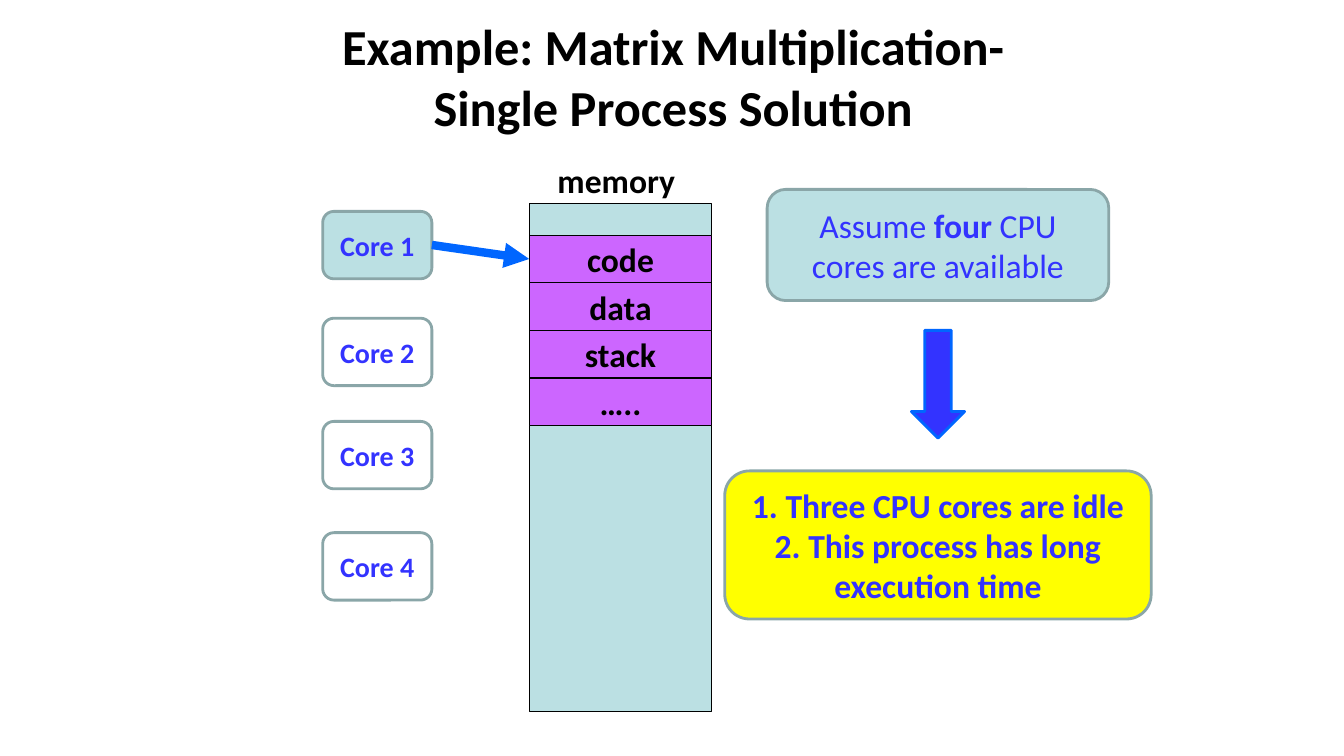
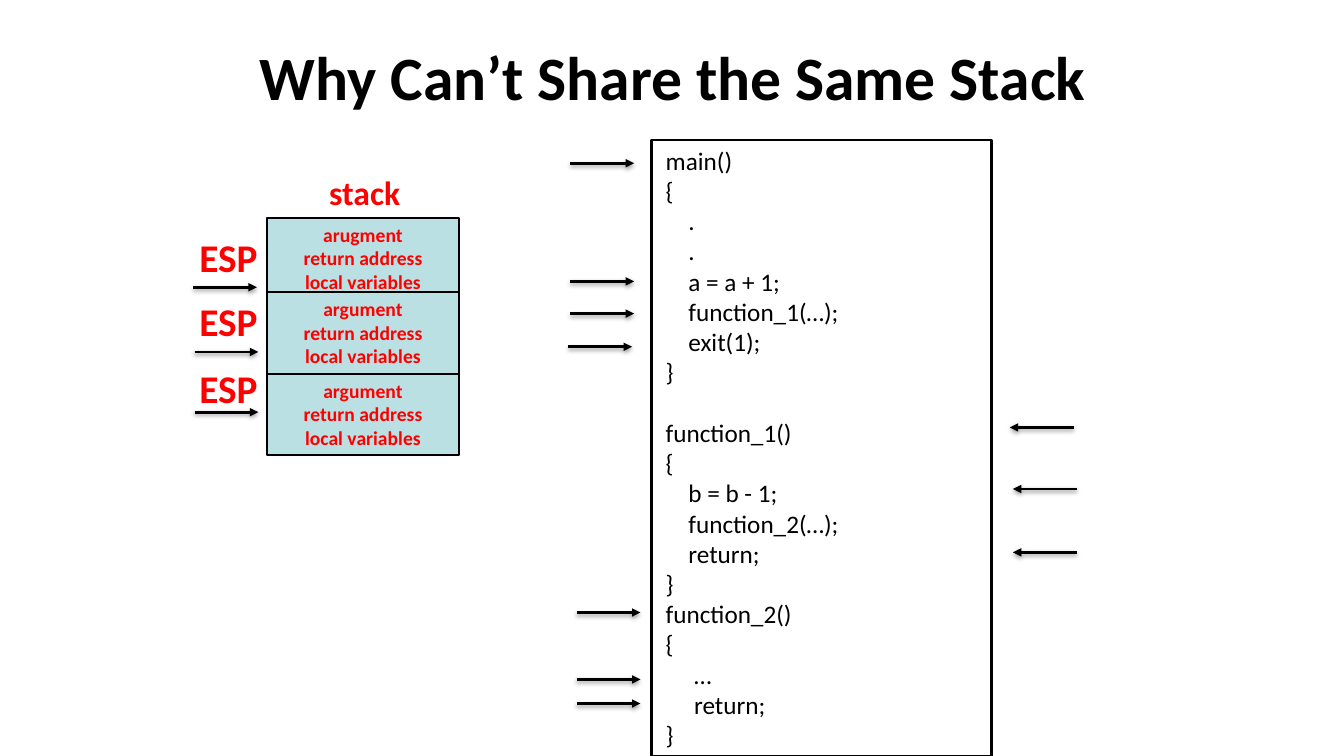
"""Build two slides on processes: idle cores and separate stacks."""

from dataclasses import dataclass
from typing import Optional

from lxml.etree import SubElement
from pptx import Presentation
from pptx.dml.color import RGBColor
from pptx.enum.shapes import MSO_CONNECTOR, MSO_SHAPE
from pptx.enum.text import MSO_ANCHOR, MSO_AUTO_SIZE, PP_ALIGN
from pptx.oxml.ns import qn
from pptx.presentation import Presentation as Deck
from pptx.shapes.autoshape import Shape
from pptx.slide import Slide
from pptx.text.text import TextFrame
from pptx.util import Pt


@dataclass(frozen=True)
class Theme:
    """Colours and type sizes shared by the slides."""

    font: str = "Calibri"
    black: str = "000000"
    white: str = "FFFFFF"
    teal: str = "BBE0E3"
    teal_edge: str = "8AA6A8"
    purple: str = "CC66FF"
    yellow: str = "FFFF00"
    red: str = "FF0000"
    blue: str = "3333FF"
    bright_blue: str = "0066FF"
    long_title: float = 36
    title: float = 44
    pointer: float = 28
    label: float = 24
    core: float = 20
    code: float = 18
    frame: float = 14


THEME = Theme()


@dataclass(frozen=True)
class Area:
    """A rectangle on the slide, in points."""

    left: float
    top: float
    width: float
    height: float

    def lengths(self) -> tuple[Pt, Pt, Pt, Pt]:
        """Return the four lengths as Pt values."""
        return Pt(self.left), Pt(self.top), Pt(self.width), Pt(self.height)


@dataclass(frozen=True)
class TextStyle:
    """Look and placing of a text."""

    size: float
    color: str = THEME.black
    bold: bool = True
    alignment: PP_ALIGN = PP_ALIGN.CENTER
    anchor: MSO_ANCHOR = MSO_ANCHOR.MIDDLE


@dataclass(frozen=True)
class Look:
    """Outline, fill and line of a shape."""

    kind: MSO_SHAPE
    fill: Optional[str]
    line: str
    weight: float


@dataclass(frozen=True)
class Arrow:
    """An arrow from one point to another."""

    start: tuple[float, float]
    end: tuple[float, float]
    color: str = THEME.black
    weight: float = 2
    shadow: bool = True


ROUNDED = MSO_SHAPE.FLOWCHART_ALTERNATE_PROCESS
CODE = """main()
{
    .
    .
    a = a + 1;
    function_1(…);
    exit(1);
}
function_1()
{
    b = b - 1;
    function_2(…);
    return;
}
function_2()
{
     …
     return;
}"""


def format_run(run, style: TextStyle, bold: bool) -> None:
    """Give a run its font."""
    run.font.name = THEME.font
    run.font.size = Pt(style.size)
    run.font.bold = bold
    run.font.color.rgb = RGBColor.from_string(style.color)


def write_text(text_frame: TextFrame, text: str, style: TextStyle) -> None:
    """Fill a text frame, one paragraph per line."""
    text_frame.text = text
    text_frame.word_wrap = True
    text_frame.auto_size = MSO_AUTO_SIZE.NONE
    text_frame.vertical_anchor = style.anchor
    for paragraph in text_frame.paragraphs:
        paragraph.alignment = style.alignment
        for run in paragraph.runs:
            format_run(run, style, style.bold)


def add_titled_slide(presentation: Deck, title: str, size: float) -> Slide:
    """Add a title-only slide with a formatted title."""
    slide = presentation.slides.add_slide(presentation.slide_layouts[5])
    placeholder = slide.shapes.title
    area = Area(48, 9, 866, 90)
    placeholder.left, placeholder.top, placeholder.width, placeholder.height = area.lengths()
    write_text(placeholder.text_frame, title, TextStyle(size))
    return slide


def add_box(slide: Slide, area: Area, look: Look, text: str = "",
            style: Optional[TextStyle] = None) -> Shape:
    """Draw a preset shape, with text if given."""
    shape = slide.shapes.add_shape(look.kind, *area.lengths())
    shape.shadow.inherit = False
    if look.fill:
        shape.fill.solid()
        shape.fill.fore_color.rgb = RGBColor.from_string(look.fill)
    else:
        shape.fill.background()
    shape.line.color.rgb = RGBColor.from_string(look.line)
    shape.line.width = Pt(look.weight)
    if style:
        write_text(shape.text_frame, text, style)
    return shape


def add_label(slide: Slide, area: Area, text: str, style: TextStyle) -> None:
    """Place a text box."""
    box = slide.shapes.add_textbox(*area.lengths())
    write_text(box.text_frame, text, style)


def add_arrow(slide: Slide, arrow: Arrow) -> None:
    """Draw a connector with an arrowhead and an optional soft shadow."""
    ends = (Pt(value) for value in arrow.start + arrow.end)
    connector = slide.shapes.add_connector(MSO_CONNECTOR.STRAIGHT, *ends)
    connector.line.color.rgb = RGBColor.from_string(arrow.color)
    connector.line.width = Pt(arrow.weight)
    properties = connector._element.spPr
    SubElement(properties.find(qn("a:ln")), qn("a:tailEnd"), type="triangle")
    effects = SubElement(properties, qn("a:effectLst"))
    if arrow.shadow:
        shadow = SubElement(effects, qn("a:outerShdw"), blurRad="40000", dist="20000",
                            dir="5400000", rotWithShape="0")
        color = SubElement(shadow, qn("a:srgbClr"), val=THEME.black)
        SubElement(color, qn("a:alpha"), val="38000")


def add_short_arrow(slide: Slide, start: float, top: float, direction: int = 1) -> None:
    """Draw a level pointer arrow, rightward unless direction is -1."""
    add_arrow(slide, Arrow((start, top), (start + direction * 45.5, top)))


def build_matrix_slide(presentation: Deck) -> None:
    """Show one process using one of four cores."""
    title = "Example: Matrix Multiplication-\nSingle Process Solution"
    slide = add_titled_slide(presentation, title, THEME.long_title)
    label = TextStyle(THEME.label)
    memory_left, memory_width = 378, 130.5

    memory = Look(MSO_SHAPE.RECTANGLE, THEME.teal, THEME.black, 0.75)
    add_box(slide, Area(memory_left, 145.5, memory_width, 363), memory)
    add_label(slide, Area(memory_left, 111, 124.5, 36), "memory",
              TextStyle(THEME.label, anchor=MSO_ANCHOR.TOP))
    segment = Look(MSO_SHAPE.RECTANGLE, THEME.purple, THEME.black, 0.75)
    for index, name in enumerate(("code", "data", "stack", "…..")):
        add_box(slide, Area(memory_left, 168 + index * 34, memory_width, 34), segment, name, label)

    core_style = TextStyle(THEME.core, THEME.blue)
    for number, top in enumerate((151, 227.3, 301, 380.5), start=1):
        fill = THEME.teal if number == 1 else None
        add_box(slide, Area(230.5, top, 78, 48.2), Look(ROUNDED, fill, THEME.teal_edge, 2),
                f"Core {number}", core_style)
    add_arrow(slide, Arrow((308.5, 175), (memory_left, 185), THEME.bright_blue, 6, False))

    plain = TextStyle(THEME.label, THEME.blue, bold=False)
    assumption = add_box(slide, Area(548, 135.3, 244, 79.4),
                         Look(ROUNDED, THEME.teal, THEME.teal_edge, 2), "Assume ", plain)
    paragraph = assumption.text_frame.paragraphs[0]
    for text, bold in (("four", True), (" CPU cores are available", False)):
        run = paragraph.add_run()
        run.text = text
        format_run(run, plain, bold)
    add_box(slide, Area(651, 236, 38, 77),
            Look(MSO_SHAPE.DOWN_ARROW, THEME.blue, THEME.bright_blue, 2))
    add_box(slide, Area(517.7, 336.4, 304.6, 105.8),
            Look(ROUNDED, THEME.yellow, THEME.teal_edge, 2),
            "1. Three CPU cores are idle\n2. This process has long execution time",
            TextStyle(THEME.label, THEME.blue))


def add_code(slide: Slide) -> None:
    """Draw the code listing and the arrows beside it."""
    look = Look(MSO_SHAPE.RECTANGLE, THEME.white, THEME.black, 2)
    style = TextStyle(THEME.code, bold=False, alignment=PP_ALIGN.LEFT, anchor=MSO_ANCHOR.TOP)
    listing = add_box(slide, Area(465.5, 100, 243, 440), look, CODE, style)
    listing.text_frame.margin_left = Pt(10)
    listing.text_frame.margin_bottom = Pt(0)
    for paragraph in listing.text_frame.paragraphs:
        if paragraph.text == "function_1()":
            paragraph.space_before = Pt(21.6)

    for start, top in ((407.5, 116.6), (407.5, 201), (407.5, 224), (406, 247.7),
                       (412, 437.5), (412, 485.3), (412, 502.5)):
        add_short_arrow(slide, start, top)
    for start, top in ((766.8, 305.3), (769, 349.3), (769, 394.6)):
        add_short_arrow(slide, start, top, -1)


def add_stack(slide: Slide) -> None:
    """Draw the stack frames with their stack pointers."""
    heading = TextStyle(THEME.label, THEME.red, alignment=PP_ALIGN.LEFT, anchor=MSO_ANCHOR.TOP)
    add_label(slide, Area(228, 119.5, 76, 36), "stack", heading)
    frame_style = TextStyle(THEME.frame, THEME.red, anchor=MSO_ANCHOR.TOP)
    for top, first, weight in ((155.5, "arugment", 1.25), (208.8, "argument", 1.5),
                               (267, "argument", 1.5)):
        add_box(slide, Area(190.8, top, 137, 58.3),
                Look(MSO_SHAPE.RECTANGLE, THEME.teal, THEME.black, weight),
                f"{first}\nreturn address\nlocal variables", frame_style)

    pointer = TextStyle(THEME.pointer, THEME.red, alignment=PP_ALIGN.LEFT, anchor=MSO_ANCHOR.TOP)
    for label_top, arrow_left, arrow_top in ((163.3, 138, 205.2), (209, 139, 251.4),
                                             (257, 139, 294.4)):
        add_short_arrow(slide, arrow_left, arrow_top)
        add_label(slide, Area(135.4, label_top, 73.5, 41), "ESP", pointer)


def build_stack_slide(presentation: Deck) -> None:
    """Show why threads cannot share one stack."""
    slide = add_titled_slide(presentation, "Why Can’t Share the Same Stack", THEME.title)
    add_code(slide)
    add_stack(slide)


def main() -> None:
    """Build and save the presentation."""
    presentation = Presentation()
    presentation.slide_width, presentation.slide_height = Pt(960), Pt(540)
    build_matrix_slide(presentation)
    build_stack_slide(presentation)
    presentation.save("out.pptx")


if __name__ == "__main__":
    main()
